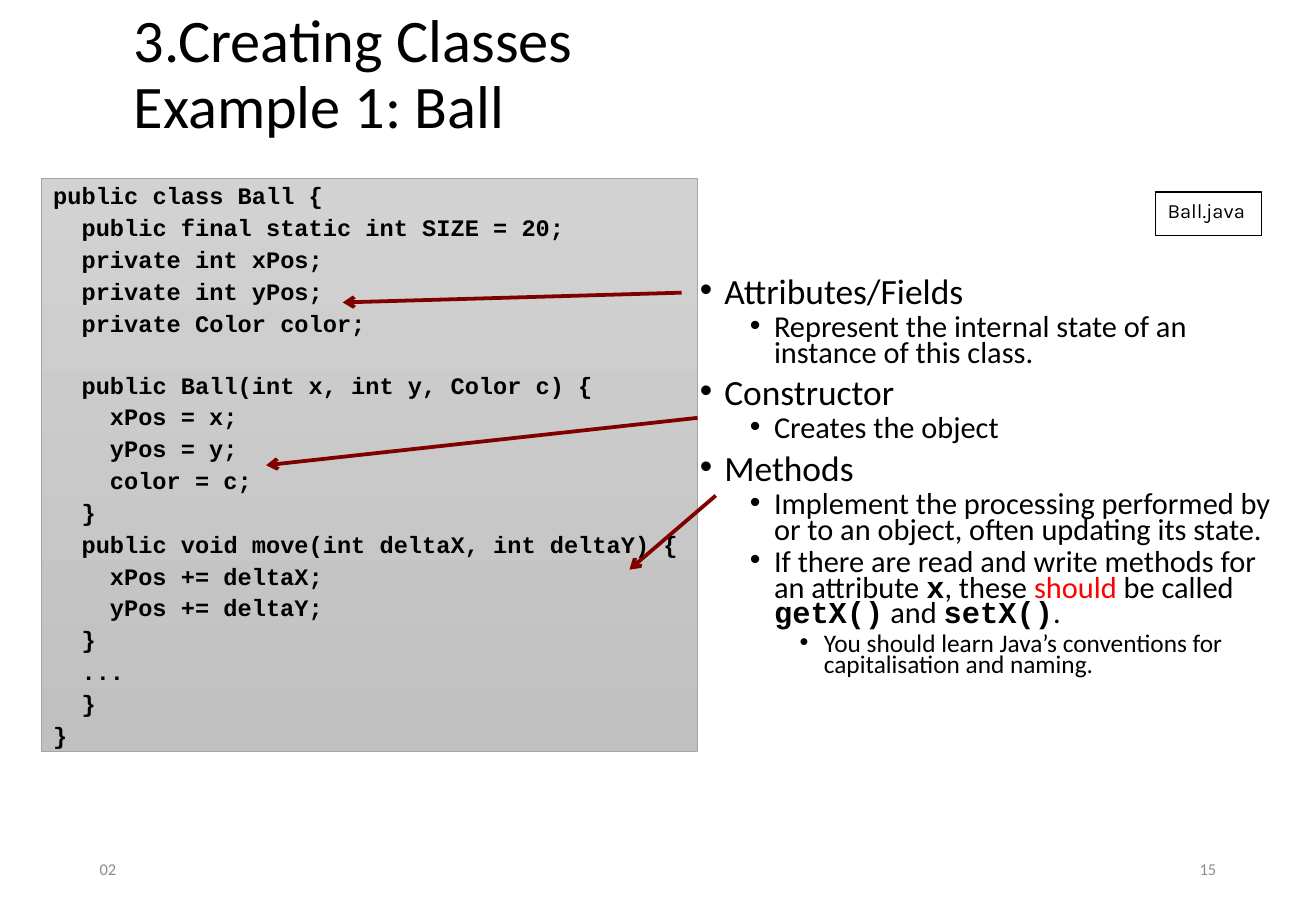
from lxml import etree
from pptx import Presentation
from pptx.dml.color import RGBColor
from pptx.enum.shapes import MSO_CONNECTOR, MSO_SHAPE
from pptx.enum.text import MSO_ANCHOR, MSO_AUTO_SIZE, PP_ALIGN
from pptx.oxml.ns import qn
from pptx.util import Inches, Pt

LINE = MSO_CONNECTOR.STRAIGHT
RECT = MSO_SHAPE.RECTANGLE
TOP, MIDDLE = MSO_ANCHOR.TOP, MSO_ANCHOR.MIDDLE
FIXED = MSO_AUTO_SIZE.NONE
LEFT, RIGHT = PP_ALIGN.LEFT, PP_ALIGN.RIGHT

BLACK = RGBColor(0x00, 0x00, 0x00)
WHITE = RGBColor(0xFF, 0xFF, 0xFF)
RED = RGBColor(0xFF, 0x00, 0x00)
MAROON = RGBColor(0x80, 0x00, 0x00)
MUTED = RGBColor(0x8C, 0x8C, 0x8C)
EDGE = RGBColor(0xA5, 0xA5, 0xA5)
LIGHT = RGBColor(0xD2, 0xD2, 0xD2)
DARK = RGBColor(0xC0, 0xC0, 0xC0)

SANS, MONO, LABEL = "Calibri", "Courier New", "Karla"
CODE_SIZE = 14
CHAR = 0.6 * CODE_SIZE
GAP, PITCH = 3.7, 17.95

CODE = """public class Ball {
  public final static int SIZE = 20;
  private int xPos;
  private int yPos;
  private Color color;

  public Ball(int x, int y, Color c) {
    xPos = x;
    yPos = y;
    color = c;
  }
  public void move(int deltaX, int deltaY) {
    xPos += deltaX;
    yPos += deltaY;
  }
  ...
  }
}"""

CODE_FONT = {"name": MONO, "bold": True}
POINTS = [
    (0, [("Attributes/Fields", {})]),
    (1, [("Represent the internal state of an instance of this class.", {})]),
    (0, [("Constructor", {})]),
    (1, [("Creates the object", {})]),
    (0, [("Methods", {})]),
    (1, [("Implement the processing performed by or to an object, "
          "often updating its state.", {})]),
    (1, [("If there are read and write methods for an attribute ", {}),
         ("x", CODE_FONT), (", these ", {}), ("should", {"color": RED}),
         (" be called ", {}), ("getX()", CODE_FONT), (" and ", {}),
         ("setX()", CODE_FONT), (".", {})]),
    (2, [("You should learn Java’s conventions for capitalisation and naming.", {})]),
]
LEVELS = [(21, 8.1, 0.2), (18, 4.1, 0.61), (15, 4.1, 1.02)]

ARROWS = [
    ((51.8, 32.13), (26.04, 33.2)),
    ((53, 45.87), (20.22, 51.07)),
    ((54.39, 54.4), (47.83, 62.53)),
]


def style(item, values):
    for key, value in values.items():
        if key == "color":
            item.color.rgb = value
        else:
            setattr(item, key, value)


class Page:
    def __init__(self, wide, high):
        self.deck = Presentation()
        style(self.deck, {"slide_width": Inches(wide), "slide_height": Inches(high)})
        self.slide = self.deck.slides.add_slide(self.deck.slide_layouts[5])
        self.shapes = self.slide.shapes
        self.font = {"name": SANS, "color": BLACK, "bold": False}

    def spot(self, *shares):
        sides = self.deck.slide_width, self.deck.slide_height
        return [int(share * sides[i % 2] / 100) for i, share in enumerate(shares)]

    def frame(self, shape, anchor=TOP, inset=0.08):
        frame = shape.text_frame
        style(frame, {"word_wrap": True, "auto_size": FIXED, "vertical_anchor": anchor,
                      "margin_left": Inches(inset), "margin_right": Inches(inset),
                      "margin_top": Inches(inset / 2), "margin_bottom": Inches(inset / 2)})
        return frame

    def words(self, para, text, size, **font):
        run = para.add_run()
        run.text = text
        style(run.font, {**self.font, "size": Pt(size), **font})

    def title(self, area, lines, size):
        shape = self.shapes.title
        style(shape, dict(zip(("left", "top", "width", "height"), self.spot(*area))))
        para = self.frame(shape, MIDDLE).paragraphs[0]
        style(para, {"alignment": LEFT, "line_spacing": 0.9})
        for i, line in enumerate(lines):
            if i:
                para.add_line_break()
            self.words(para, line, size)

    def note(self, area, text, align):
        para = self.frame(self.shapes.add_textbox(*self.spot(*area)), MIDDLE).paragraphs[0]
        para.alignment = align
        self.words(para, text, 9.8, color=MUTED)

    def points(self, area, items):
        frame = self.frame(self.shapes.add_textbox(*self.spot(*area)))
        for i, (level, runs) in enumerate(items):
            size, space, indent = LEVELS[level]
            para = frame.add_paragraph() if i else frame.paragraphs[0]
            style(para, {"level": level, "line_spacing": 0.7, "space_before": Pt(space)})
            props = para._p.get_or_add_pPr()
            props.set("marL", str(Inches(indent)))
            props.set("indent", str(Inches(-0.2)))
            etree.SubElement(props, qn("a:buFont")).set("typeface", "Arial")
            etree.SubElement(props, qn("a:buChar")).set("char", "•")
            for text, font in runs:
                self.words(para, text, size, **font)

    def box(self, area, edge, weight):
        shape = self.shapes.add_shape(RECT, *self.spot(*area))
        shape.shadow.inherit = False
        style(shape.line, {"color": edge, "width": Pt(weight)})
        return shape

    def code(self, area, source):
        shape = self.box(area, EDGE, 0.5)
        shape.fill.gradient()
        shape.fill.gradient_angle = 270
        for stop, tint in zip(shape.fill.gradient_stops, (LIGHT, DARK)):
            stop.color.rgb = tint
        frame = self.frame(shape, inset=0.1)
        space = GAP
        for i, line in enumerate(source.splitlines()):
            text = line.lstrip()
            if not text:
                space += PITCH
                continue
            para = frame.add_paragraph() if i else frame.paragraphs[0]
            style(para, {"alignment": LEFT, "line_spacing": 0.9, "space_before": Pt(space)})
            indent = Pt(CHAR * (len(line) - len(text)))
            para._p.get_or_add_pPr().set("marL", str(indent))
            self.words(para, text, CODE_SIZE, **CODE_FONT)
            space = GAP

    def tag(self, area, text):
        shape = self.box(area, BLACK, 0.75)
        shape.fill.solid()
        shape.fill.fore_color.rgb = WHITE
        para = self.frame(shape, inset=0.1).paragraphs[0]
        para.alignment = LEFT
        self.words(para, text, 12, name=LABEL)

    def arrow(self, start, end):
        link = self.shapes.add_connector(LINE, *self.spot(*start, *end))
        style(link.line, {"color": MAROON, "width": Pt(2.25)})
        etree.SubElement(link.line._get_or_add_ln(), qn("a:tailEnd")).set("type", "arrow")
        etree.SubElement(link._element.spPr, qn("a:effectLst"))


def main():
    page = Page(10.83, 7.5)
    page.title((9.42, 0, 82.36, 16.67), ("3.Creating Classes", "Example 1: Ball"), 35.8)
    page.points((52.45, 30.27, 45.24, 52.53), POINTS)
    page.note((6.83, 92.67, 22.53, 5.33), "02", LEFT)
    page.note((70.64, 92.67, 22.53, 5.33), "15", RIGHT)
    page.code((3.14, 19.6, 49.86, 62.93), CODE)
    page.tag((87.81, 21.07, 8.03, 4.8), "Ball.java")
    for start, end in ARROWS:
        page.arrow(start, end)
    page.deck.save("out.pptx")


if __name__ == "__main__":
    main()
